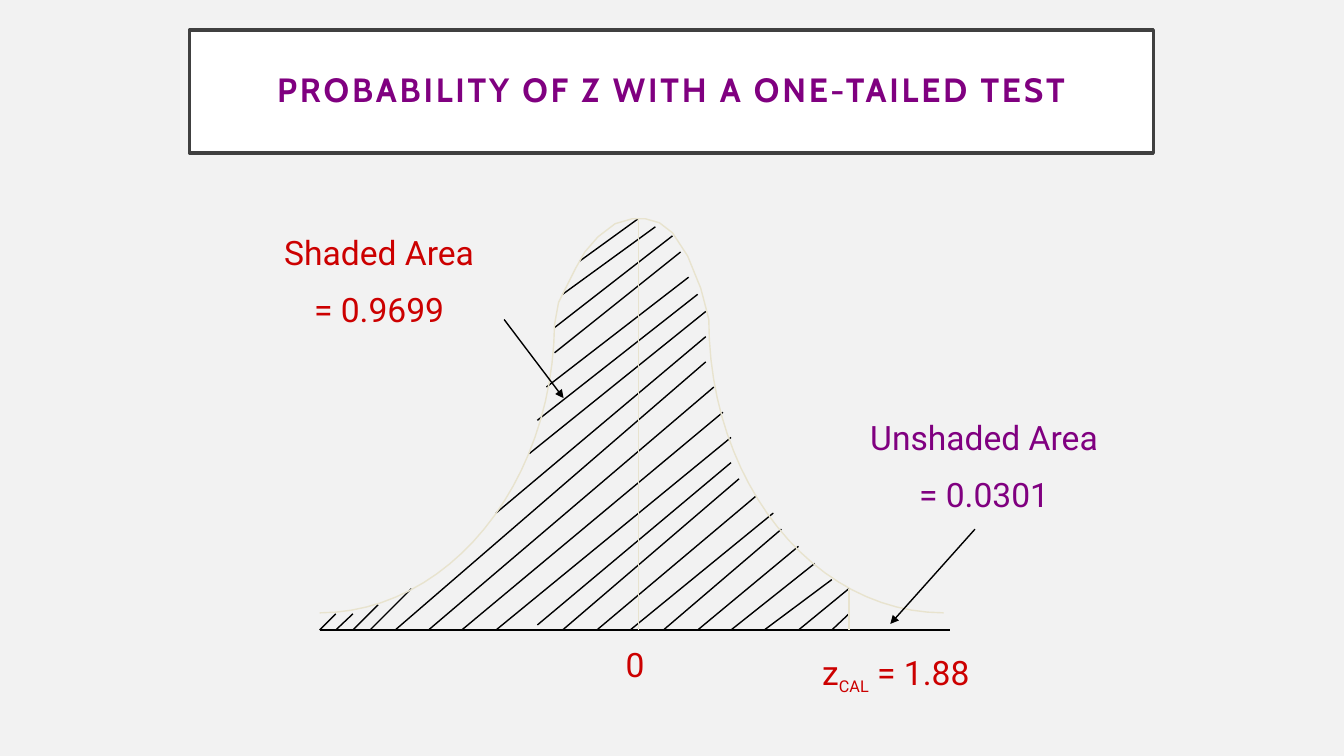
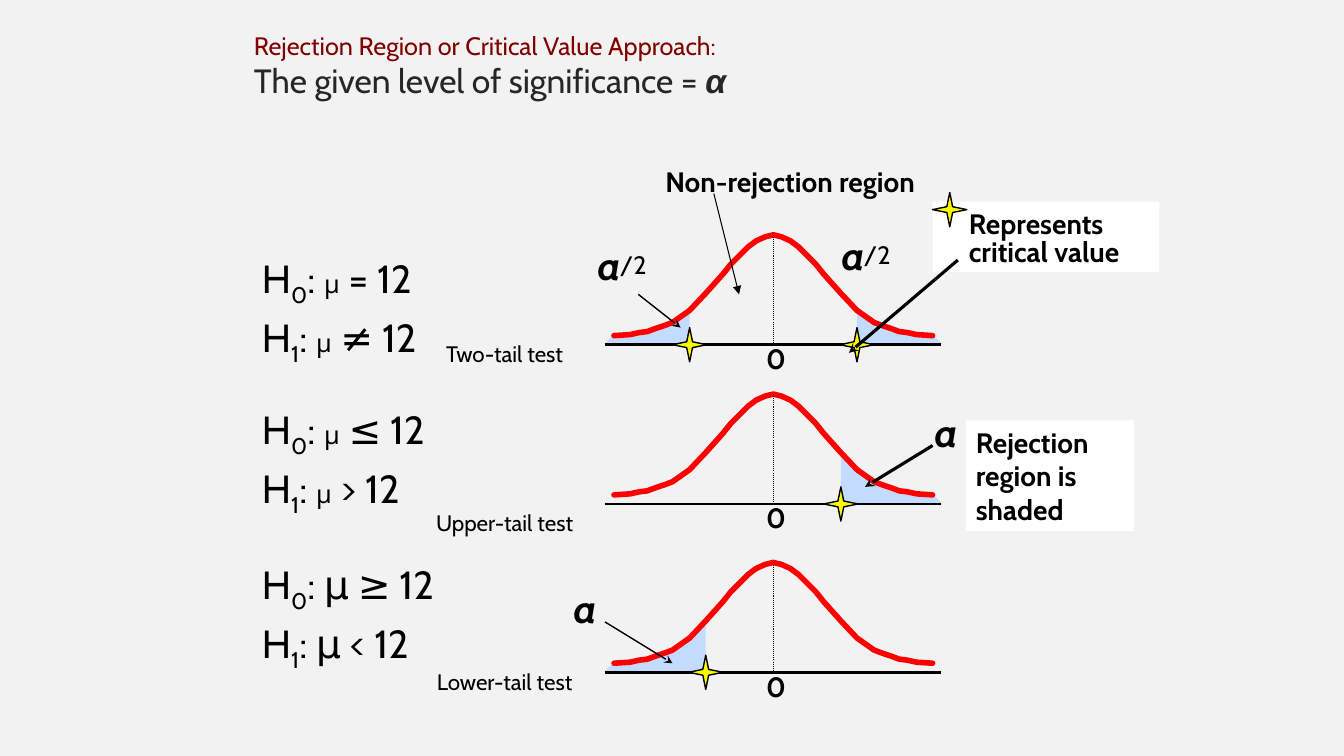
"""Two slides on z-test probabilities and rejection regions."""
from lxml import etree
from pptx import Presentation
from pptx.dml.color import RGBColor as RGB
from pptx.enum.dml import MSO_LINE
from pptx.enum.shapes import MSO_CONNECTOR as CONN, MSO_SHAPE as SHAPE
from pptx.enum.text import MSO_ANCHOR as ANCHOR, PP_ALIGN as ALIGN
from pptx.oxml.ns import qn
from pptx.util import Inches, Pt

C = {"bg": "F2F2F2", "white": "FFFFFF", "black": "000000", "frame": "404040",
     "body": "262626", "purple": "800080", "red": "CC0000", "maroon": "800000",
     "pale": "E8E3CE", "curve": "FF0000", "shade": "C3DBFF", "star": "F8F800"}


def add_text(s, at, paras, size, color="black", font="Cabin", align=ALIGN.LEFT,
             bold=False, italic=False, fill=None, spacing=None):
    """Each paragraph is a list of strings, or (string, size, baseline) tuples."""
    sp = s.shapes.add_textbox(*map(Inches, at))
    if fill:
        sp.fill.solid()
        sp.fill.fore_color.rgb = RGB.from_string(C[fill])
    tf = sp.text_frame
    tf.word_wrap = True
    for i, pieces in enumerate(paras):
        p = tf.paragraphs[0] if i == 0 else tf.add_paragraph()
        p.alignment = align
        p.line_spacing = spacing
        if i and not isinstance(spacing, Pt):
            p.space_before = Pt(size / 2)
        p.font.size, p.font.name = Pt(size), font
        p.font.bold, p.font.italic = bold, italic
        p.font.color.rgb = RGB.from_string(C[color])
        for piece in pieces:
            if piece == "\n":
                p.add_line_break()
                continue
            words, run_size, base = (piece, None, 0) if isinstance(piece, str) else piece
            r = p.add_run()
            r.text = words
            if run_size:
                r.font.size = Pt(run_size)
            if base:
                r._r.get_or_add_rPr().set("baseline", str(base * 1000))
    return sp


def draw(s, points, color="black", width=1, fill=None, tail=None):
    """Two points make a connector, more make a freeform, closed if filled."""
    pts = [(Inches(x), Inches(y)) for x, y in points]
    if len(pts) == 2:
        sp = s.shapes.add_connector(CONN.STRAIGHT, *pts[0], *pts[1])
        etree.SubElement(sp._element.spPr, qn("a:effectLst"))
    else:
        fb = s.shapes.build_freeform(*pts[0])
        fb.add_line_segments(pts[1:], close=bool(fill))
        sp = fb.convert_to_shape()
        sp.shadow.inherit = False
        if fill:
            sp.fill.solid()
            sp.fill.fore_color.rgb = RGB.from_string(C[fill])
        else:
            sp.fill.background()
    if fill:
        sp.line.fill.background()
        return sp
    sp.line.color.rgb = RGB.from_string(C[color])
    sp.line.width = Pt(width)
    if tail:
        etree.SubElement(sp._element.spPr.find(qn("a:ln")), qn("a:tailEnd"), type=tail)
    return sp


prs = Presentation()
prs.slide_width, prs.slide_height = Inches(13.33), Inches(7.5)
bg = prs.slide_master.background.fill
bg.solid()
bg.fore_color.rgb = RGB.from_string(C["bg"])
blank = prs.slide_layouts[6]

s = prs.slides.add_slide(blank)
title = add_text(s, (1.88, 0.3, 9.56, 1.22), [["PROBABILITY OF Z WITH A ONE-TAILED TEST"]],
                 24, "purple", align=ALIGN.CENTER, bold=True, fill="white", spacing=0.9)
title.line.color.rgb = RGB.from_string(C["frame"])
title.line.width = Pt(2.5)
title.text_frame.vertical_anchor = ANCHOR.MIDDLE
title.text_frame.paragraphs[0].runs[0]._r.get_or_add_rPr().set("spc", "200")

for at, paras, color in [
    ((8.17, 4.09, 3.18, 1.11), [["Unshaded Area"], ["= 0.0301"]], "purple"),
    ((2.58, 2.25, 2.36, 1.11), [["Shaded Area"], ["= 0.9699"]], "red"),
    ((7.83, 6.42, 2.11, 0.5), [["z", ("CAL", 20, -25), " = 1.88"]], "red"),
    ((5.25, 6.34, 2.1, 0.5), [["0"]], "red"),
]:
    add_text(s, at, paras, 24, color, "Roboto", ALIGN.CENTER)

hatching = [
    (7.33, 4.75, 5.58, 6.25), (7.17, 4.09, 4.58, 6.25), (7.25, 4.34, 4.92, 6.25),
    (7.25, 4.59, 5.33, 6.2), (7.5, 4.92, 5.92, 6.25), (7.08, 3.84, 4.25, 6.25),
    (7, 3.59, 3.92, 6.25), (7, 3.34, 4.92, 5.09), (7, 3.09, 5.25, 4.5),
    (6.92, 2.92, 5.33, 4.17), (6.83, 2.75, 5.42, 3.84), (6.75, 2.5, 5.5, 3.5),
    (6.67, 2.34, 5.5, 3.25), (7.67, 5.09, 6.25, 6.25), (7.75, 5.25, 6.58, 6.25),
    (7.92, 5.42, 6.92, 6.25), (8.08, 5.59, 7.25, 6.25), (8.25, 5.75, 7.58, 6.25),
    (8.42, 5.84, 7.92, 6.25), (6.5, 2.25, 5.58, 2.92), (8.42, 6.09, 8.25, 6.25),
    (4.08, 5.84, 3.67, 6.25), (3.33, 6.09, 3.17, 6.25), (3.5, 6.09, 3.33, 6.25),
    (3.75, 6, 3.5, 6.25), (6.33, 2.17, 5.75, 2.59),
]
axis = (3.17, 6.25, 9.42, 6.25)
for x1, y1, x2, y2 in hatching + [axis]:
    draw(s, [(x1, y1), (x2, y2)])

tails = []
for controls in [
    ((3.17, 6.08), (4.44, 6.08), (5.48, 4.81), (5.5, 3.22)),
    ((7.03, 3.17), (7.03, 4.78), (8.07, 6.08), (9.36, 6.08)),
]:
    tail = []
    for step in range(25):
        t = step / 24
        weights = ((1 - t) ** 3, 3 * t * (1 - t) ** 2, 3 * t * t * (1 - t), t ** 3)
        tail.append([sum(w * c[k] for w, c in zip(weights, controls)) for k in (0, 1)])
    tails.append(tail)
cap = [(5.54, 3), (5.64, 2.8), (5.71, 2.66), (5.8, 2.5), (5.93, 2.35), (6.1, 2.22),
       (6.27, 2.17), (6.4, 2.17), (6.54, 2.21), (6.67, 2.31), (6.82, 2.54),
       (6.95, 2.86), (7, 3.05)]
draw(s, tails[0] + cap + tails[1], "pale")
draw(s, [(6.33, 2.17), (6.33, 6.25)], "pale")
draw(s, [(8.42, 5.84), (8.42, 6.25)], "pale")
draw(s, [(5, 3.17), (5.59, 3.95)], tail="triangle")
draw(s, [(9.67, 5.25), (8.83, 6.19)], tail="triangle")

s = prs.slides.add_slide(blank)
heading = add_text(s, (2.42, 0.25, 8.83, 0.9),
                   [["Rejection Region or Critical Value Approach:"],
                    ["The given level of significance = ", "α"]], 24, "body")
first, second = heading.text_frame.paragraphs
first.font.size = Pt(18)
first.font.color.rgb = RGB.from_string(C["maroon"])
second.space_before = Pt(0)
alpha = second.runs[1].font
alpha.name, alpha.bold, alpha.italic = "Arial", True, True

center = 7.67
half_bell = [(1.58, 1), (1.42, 0.99), (1.33, 0.97), (1.25, 0.96), (1.17, 0.93),
             (1.08, 0.9), (1, 0.87), (0.83, 0.75), (0.67, 0.58), (0.5, 0.39),
             (0.42, 0.29), (0.33, 0.2), (0.25, 0.12), (0.17, 0.06), (0.08, 0.02), (0, 0)]
bell = [(-dx, dy) for dx, dy in half_bell] + half_bell[-2::-1]
tail_edge = [(1.67, 1.08), (1.59, 1), (1.24, 0.95), (1.07, 0.89), (0.88, 0.77), (0.67, 0.59)]
stars = [(9.42, 2.08)]

for name, label_y, axis_y, hyp_y, signs, mu_size, cut, sides in [
    ("Two-tail test", 3.33, 3.42, 2.42, "=≠", 18, 0.83, (-1, 1)),
    ("Upper-tail test", 5, 5, 3.92, "≤>", 18, 0.67, (1,)),
    ("Lower-tail test", 6.58, 6.67, 5.46, "≥<", 28, 0.67, (-1,)),
]:
    peak = axis_y - 1.09
    edge = [pt for pt in tail_edge if pt[0] >= cut]
    edge += [(cut, dict(half_bell)[cut]), (cut, 1.08)]
    for side in sides:
        draw(s, [(center + side * dx, peak + dy) for dx, dy in edge], fill="shade")
        stars.append((center + side * cut, axis_y))
    curve = draw(s, [(center + dx, peak + dy) for dx, dy in bell], "curve", 4)
    curve._element.spPr.find(qn("a:ln")).set("cap", "rnd")
    draw(s, [(6, axis_y), (9.33, axis_y)], width=2)
    mean = draw(s, [(center, peak), (center, axis_y)], width=0.75)
    mean.line.dash_style = MSO_LINE.ROUND_DOT
    add_text(s, (7.5, axis_y - 0.08, 0.33, 0.43), [["0"]], 20, bold=True)
    add_text(s, (4.17, label_y, 1.67, 0.36), [[name]], 16, align=ALIGN.CENTER)
    null, other = [["H", (str(i), 28, -25), ": ", ("μ", mu_size, 0), f" {sign} 12"]
                   for i, sign in enumerate(signs)]
    add_text(s, (2.5, hyp_y, 2.35, 1.12), [null + ["\n"] + other], 28, spacing=1.1)

for x, y in [(5.59, 5.75), (9.17, 4), (8.25, 2.25), (5.83, 2.34)]:
    add_text(s, (x, y, 0.42, 0.56), [["a"]], 28, bold=True, italic=True)
for x, y in [(8.47, 2.33), (6.05, 2.42)]:
    add_text(s, (x, y, 0.7, 0.4), [["/2"]], 18)

add_text(s, (6.5, 1.58, 2.73, 0.43), [["Non-rejection region"]], 20, bold=True)
add_text(s, (9.58, 4.17, 1.67, 1.1), [["Rejection region is shaded"]], 20,
         bold=True, fill="white")
legend = add_text(s, (9.25, 2, 2.25, 0.7), [["Represents"], ["critical value"]], 20,
                  bold=True, fill="white", spacing=Pt(20))
legend.text_frame.margin_left = Inches(0.36)
legend.text_frame.margin_top = Inches(0.1)

for x, y in stars:
    star = s.shapes.add_shape(SHAPE.STAR_4_POINT, Inches(x - 0.17), Inches(y - 0.17),
                              Inches(0.34), Inches(0.34))
    star.adjustments[0] = 0.12
    star.shadow.inherit = False
    star.fill.solid()
    star.fill.fore_color.rgb = RGB.from_string(C["star"])
    star.line.color.rgb = RGB.from_string(C["black"])
    star.line.width = Pt(1)

for points, width, tail in [
    ([(6, 6.17), (6.67, 6.58)], 1, "stealth"),
    ([(9.25, 4.42), (8.58, 4.83)], 2.25, "stealth"),
    ([(6.33, 2.92), (6.75, 3.25)], 1, "stealth"),
    ([(9.5, 2.58), (8.42, 3.5)], 2.25, "stealth"),
    ([(7.08, 1.92), (7.33, 2.92)], 0.75, "triangle"),
]:
    draw(s, points, width=width, tail=tail)

prs.save("out.pptx")
